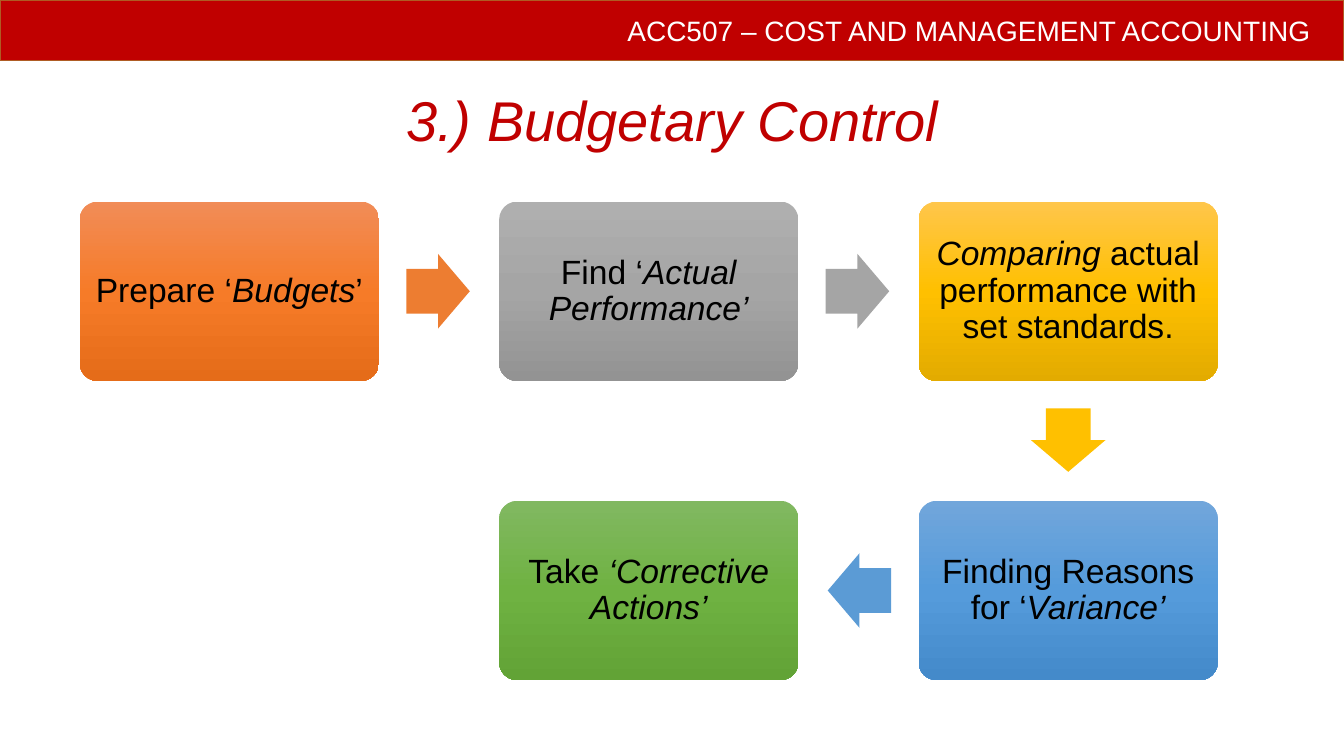
from copy import deepcopy
from pptx import Presentation
from pptx import util as u
from pptx.dml.color import RGBColor
from pptx.enum import shapes, text
from pptx.oxml.ns import qn

RED = RGBColor(0xC0, 0x00, 0x00)
BROWN = RGBColor(0xAF, 0x5C, 0x24)
WHITE = RGBColor(0xFF, 0xFF, 0xFF)
BLACK = RGBColor(0x00, 0x00, 0x00)
ORANGE = RGBColor(0xED, 0x7D, 0x31)
GRAY = RGBColor(0xA5, 0xA5, 0xA5)
GOLD = RGBColor(0xFF, 0xC0, 0x00)
BLUE = RGBColor(0x5B, 0x9B, 0xD5)
# Top, middle and bottom shades of each step
ORANGES = [RGBColor(0xF1, 0x8C, 0x57), RGBColor(0xF6, 0x7B, 0x28), RGBColor(0xE5, 0x6C, 0x19)]
GRAYS = [RGBColor(0xAF, 0xAF, 0xAF), GRAY, RGBColor(0x93, 0x93, 0x93)]
GOLDS = [RGBColor(0xFF, 0xC6, 0x4B), GOLD, RGBColor(0xE3, 0xAB, 0x00)]
BLUES = [RGBColor(0x71, 0xA6, 0xDB), RGBColor(0x55, 0x9B, 0xDB), RGBColor(0x44, 0x8A, 0xCA)]
GREENS = [RGBColor(0x81, 0xB8, 0x61), RGBColor(0x6F, 0xB2, 0x42), RGBColor(0x62, 0xA3, 0x36)]

deck = Presentation()
deck.slide_width, deck.slide_height = u.Cm(33.87), u.Cm(19.05)
slide = deck.slides.add_slide(deck.slide_layouts[6])


def write(shape, *runs, size=24, color=BLACK, align=text.PP_ALIGN.CENTER, space=0.9, inset=0.25):
    """Fill a shape with one paragraph of (words, italic) runs."""
    frame = shape.text_frame
    frame.word_wrap = True
    frame.vertical_anchor = text.MSO_ANCHOR.MIDDLE
    frame.margin_left = frame.margin_right = u.Cm(inset)
    para = frame.paragraphs[0]
    para.alignment, para.line_spacing = align, space
    for words, slant in runs:
        run = para.add_run()
        run.text = words
        run.font.name, run.font.size = "Arial", u.Pt(size)
        run.font.italic, run.font.color.rgb = slant, color


def draw(kind, left, top, wide, high):
    shape = slide.shapes.add_shape(kind, u.Cm(left), u.Cm(top), u.Cm(wide), u.Cm(high))
    shape.shadow.inherit = False
    shape.line.fill.background()
    return shape


# Course banner
banner = draw(shapes.MSO_SHAPE.RECTANGLE, 0, 0, 33.87, 1.52)
banner.fill.solid()
banner.fill.fore_color.rgb = RED
banner.line.color.rgb = BROWN
banner.line.width = u.Pt(1)
write(banner, ("ACC507 – COST AND MANAGEMENT ACCOUNTING", False),
      size=20, color=WHITE, align=text.PP_ALIGN.RIGHT, space=1, inset=0.84)

# Title
title = slide.shapes.add_textbox(u.Cm(2.34), u.Cm(1.52), u.Cm(29.2), u.Cm(3.18))
write(title, ("3.) Budgetary Control", True), size=40, color=RED)

# Steps: column, row, shades, runs, arrow colour, arrow direction
LEFT, TOP, WIDE, HIGH = 2.01, 5.08, 7.54, 4.52
COL, ROW = 10.57, 7.54
LONG, TALL, GAP = 1.6, 1.88, 0.69
TURNS = {(1, 0): 0, (0, 1): 90, (-1, 0): 180}
steps = [
    (0, 0, ORANGES, [("Prepare ‘", False), ("Budgets", True), ("’", False)], ORANGE, (1, 0)),
    (1, 0, GRAYS, [("Find ‘", False), ("Actual Performance’", True)], GRAY, (1, 0)),
    (2, 0, GOLDS, [("Comparing", True), (" actual performance with set standards.", False)],
     GOLD, (0, 1)),
    (2, 1, BLUES, [("Finding Reasons for ‘", False), ("Variance’", True)], BLUE, (-1, 0)),
    (1, 1, GREENS, [("Take ", False), ("‘Corrective Actions’", True)], None, None),
]
for col, row, shades, runs, tint, way in steps:
    x, y = LEFT + col * COL, TOP + row * ROW
    box = draw(shapes.MSO_SHAPE.ROUNDED_RECTANGLE, x, y, WIDE, HIGH)
    box.adjustments[0] = 0.1
    box.fill.gradient()
    box.fill.gradient_angle = 270
    stops = box._element.spPr.find(".//" + qn("a:gsLst"))
    stops.append(deepcopy(stops[-1]))
    for stop, shade, place in zip(box.fill.gradient_stops, shades, (0, 0.5, 1)):
        stop.color.rgb, stop.position = shade, place
    write(box, *runs)

    # Arrow starting a fixed gap away from the box
    if way:
        mid = x + WIDE / 2 + way[0] * (WIDE / 2 + GAP + LONG / 2)
        level = y + HIGH / 2 + way[1] * (HIGH / 2 + GAP + LONG / 2)
        arrow = draw(shapes.MSO_SHAPE.RIGHT_ARROW, mid - LONG / 2, level - TALL / 2, LONG, TALL)
        arrow.adjustments[0], arrow.adjustments[1] = 0.6, 0.5
        arrow.rotation = TURNS[way]
        arrow.fill.solid()
        arrow.fill.fore_color.rgb = tint

deck.save("out.pptx")
